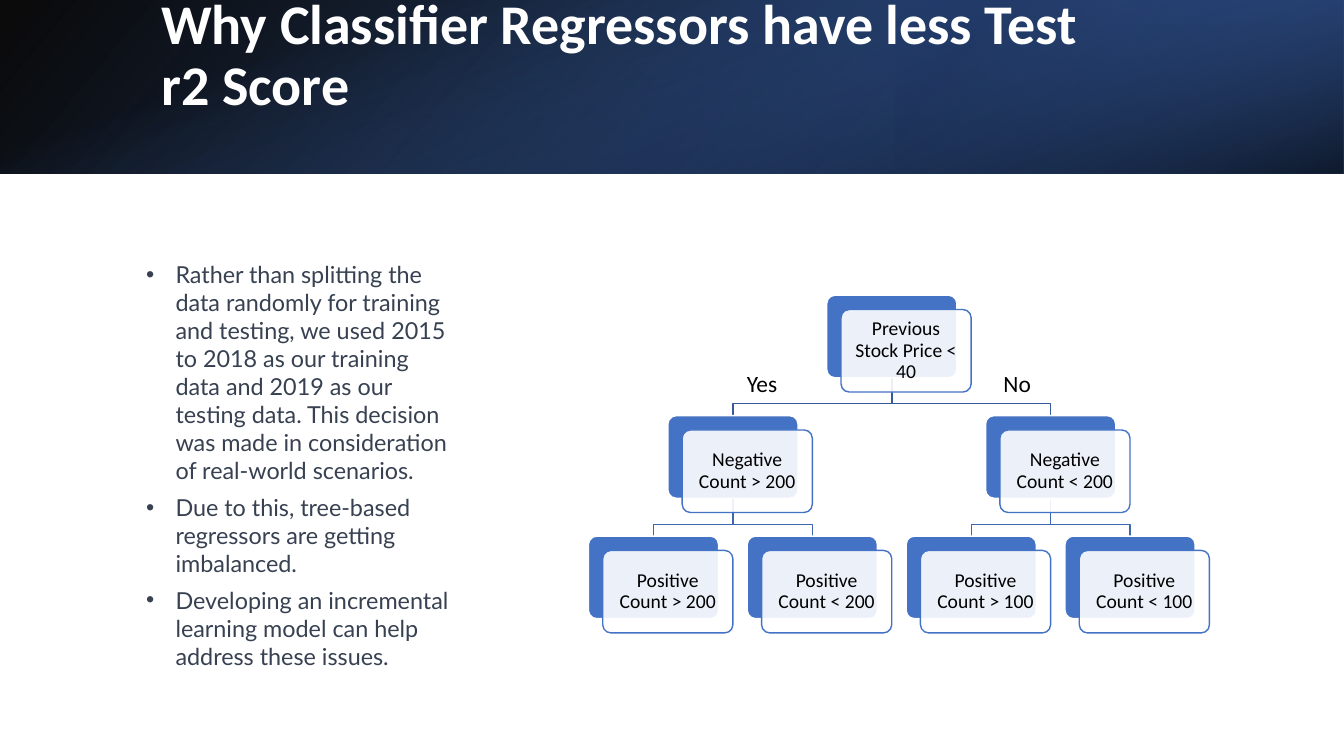
import pptx
import pptx.dml.color
import pptx.enum.shapes
import pptx.enum.text
import pptx.oxml
import pptx.oxml.ns
import pptx.util

Cm = pptx.util.Cm
Pt = pptx.util.Pt
SHAPE = pptx.enum.shapes.MSO_SHAPE
ALIGN = pptx.enum.text.PP_ALIGN
ANCHOR = pptx.enum.text.MSO_ANCHOR

BLUE, WHITE, BLACK, SLATE = "4472C4", "FFFFFF", "000000", "374151"

TITLE = "Why Classifier Regressors have less Test r2 Score"
POINTS = [
    "Rather than splitting the data randomly for training and testing, we used 2015 "
    "to 2018 as our training data and 2019 as our testing data. This decision was made "
    "in consideration of real-world scenarios.",
    "Due to this, tree-based regressors are getting imbalanced.",
    "Developing an incremental learning model can help address these issues.",
]
TREE = ("Previous Stock Price < 40", [
    ("Negative Count > 200", [("Positive Count > 200", []), ("Positive Count < 200", [])]),
    ("Negative Count < 200", [("Positive Count > 100", []), ("Positive Count < 100", [])]),
])


def rgb(value):
    """Turn a hex string into a colour."""
    return pptx.dml.color.RGBColor.from_string(value)


def apply(target, values):
    """Set each attribute in values on target."""
    for name, value in values.items():
        setattr(target, name, value)


def xml(tag, attrs="", inner=""):
    """Build one DrawingML element."""
    ns = pptx.oxml.ns.nsdecls("a")
    return pptx.oxml.parse_xml(f"<a:{tag} {ns} {attrs}>{inner}</a:{tag}>")


def place(sp, box):
    """Move a shape to a box given in centimetres."""
    apply(sp, dict(zip(("left", "top", "width", "height"), map(Cm, box))))


def write(tf, texts, font, color, para=None, frame=None):
    """Fill a text frame with one formatted paragraph per text."""
    apply(tf, {"word_wrap": True, "auto_size": pptx.enum.text.MSO_AUTO_SIZE.NONE,
               **(frame or {})})
    for i, text in enumerate(texts):
        p = tf.add_paragraph() if i else tf.paragraphs[0]
        apply(p, para or {})
        r = p.add_run()
        r.text = text
        apply(r.font, font)
        r.font.color.rgb = rgb(color)


def add_gradient(s, box, stops, angle, rotation=0, flip=False):
    """Add a rectangle with a translucent linear gradient behind the title."""
    sp = s.shapes.add_shape(SHAPE.RECTANGLE, *map(Cm, box))
    sp.shadow.inherit = False
    sp.line.fill.background()
    sp.rotation = rotation
    if flip:
        sp.element.spPr.find(pptx.oxml.ns.qn("a:xfrm")).set("flipH", "1")
    marks = "".join(
        f'<a:gs pos="{pos * 1000}"><a:srgbClr val="{color}">'
        f'<a:alpha val="{alpha * 1000}"/></a:srgbClr></a:gs>'
        for pos, color, alpha in stops)
    fill = xml("gradFill", 'rotWithShape="1"',
               f'<a:gsLst>{marks}</a:gsLst><a:lin ang="{angle * 60000}" scaled="0"/>')
    sp.element.spPr.find(pptx.oxml.ns.qn("a:prstGeom")).addnext(fill)
    s.shapes.title.element.addprevious(sp.element)


def add_header(s, box):
    """Draw the layered gradient band and its title."""
    x, y, w, h = box
    add_gradient(s, box, [(0, BLACK, 96), (100, "2F5597", 100)], 140, flip=True)
    add_gradient(s, (x + w * 2 / 3, y, w / 3, h),
                 [(19, "203864", 68), (100, BLUE, 79)], 320, 180, True)
    add_gradient(s, (x + (w - h) / 2, y + (h - w) / 2, h, w),
                 [(23, BLUE, 0), (99, BLACK, 74)], 340, 90)
    title = s.shapes.title
    place(title, (x + 3.81, y + 0.97, 27.89, 2.44))
    write(title.text_frame, [TITLE], {"name": "Calibri", "size": Pt(40), "bold": True}, WHITE,
          {"alignment": ALIGN.LEFT, "line_spacing": 0.9},
          {"vertical_anchor": ANCHOR.MIDDLE, "margin_right": Cm(3.76),
           "margin_bottom": Cm(1.65)})


def add_points(s, box):
    """Fill the body placeholder with the bulleted points."""
    body = s.placeholders[1]
    place(body, box)
    write(body.text_frame, POINTS, {"name": "Lato", "size": Pt(16.7)}, SLATE,
          {"alignment": ALIGN.LEFT, "space_before": Pt(0), "space_after": Pt(6)},
          {"vertical_anchor": ANCHOR.TOP})
    for p in body.text_frame.paragraphs:
        pPr = p._p.get_or_add_pPr()
        apply_indent = {"marL": Cm(0.74), "indent": -Cm(0.74)}
        for name, value in apply_indent.items():
            pPr.set(name, str(int(value)))
        pPr.append(xml("buFont", 'typeface="Arial"'))
        pPr.append(xml("buChar", 'char="•"'))


def add_branch(s, start, end, color):
    """Draw a stepped line from a parent's base to a child's top."""
    (x1, y1), (x2, y2) = start, end
    bend = y2 - 0.3
    points = [(Cm(x), Cm(y)) for x, y in ((x1, bend), (x2, bend), (x2, y2))]
    builder = s.shapes.build_freeform(Cm(x1), Cm(y1))
    builder.add_line_segments(points, close=False)
    sp = builder.convert_to_shape()
    sp.shadow.inherit = False
    sp.fill.background()
    sp.line.color.rgb = rgb(color)
    sp.line.width = Pt(1)


def add_card(s, box, text):
    """Draw a blue card with a translucent labelled card over it."""
    x, y, w, h = box
    for shift, fill, line in ((0, BLUE, WHITE), (0.36, WHITE, BLUE)):
        sp = s.shapes.add_shape(SHAPE.ROUNDED_RECTANGLE,
                                *map(Cm, (x + shift, y + shift, w, h)))
        sp.adjustments[0] = 0.1
        sp.shadow.inherit = False
        sp.fill.solid()
        sp.fill.fore_color.rgb = rgb(fill)
        sp.line.color.rgb = rgb(line)
        sp.line.width = Pt(1)
    color = sp.element.spPr.find(pptx.oxml.ns.qn("a:solidFill"))[0]
    color.append(xml("alpha", 'val="90000"'))
    inset = Cm(0.21)
    write(sp.text_frame, [text], {"name": "Calibri", "size": Pt(14)}, BLACK,
          {"alignment": ALIGN.CENTER, "line_spacing": 0.9},
          {"vertical_anchor": ANCHOR.MIDDLE, "margin_left": inset, "margin_right": inset,
           "margin_top": inset, "margin_bottom": inset})


def add_tree(s, box):
    """Draw the decision tree with its branches and answers."""
    x, y, w, h = box
    card_w, card_h, leaves = 3.28, 2.08, 4
    step_x = (w - card_w - 0.36) / (leaves - 1)
    step_y = (h - card_h - 0.36) / 2
    cards, branches = [], []

    def lay_out(node, first, span, depth):
        """Collect the cards and branches below one node."""
        text, children = node
        left = x + (first + (span - 1) / 2) * step_x
        top = y + depth * step_y
        cards.append(((left, top, card_w, card_h), text))
        for i, child in enumerate(children):
            part = span / len(children)
            child_left = lay_out(child, first + i * part, part, depth + 1)
            branches.append(((left + card_w / 2, top + card_h),
                             (child_left + card_w / 2, top + step_y),
                             "3E67B2" if depth else "365B9D"))
        return left

    lay_out(TREE, 0, leaves, 0)
    for branch in branches:
        add_branch(s, *branch)
    for card in cards:
        add_card(s, *card)
    for text, dx, width, inset in (("Yes", 2.95, 2.92, 1.04), ("No", 10.21, 2, 0.25)):
        sp = s.shapes.add_textbox(*map(Cm, (x + dx, y + 1.73, width, 0.97)))
        write(sp.text_frame, [text], {"name": "Calibri", "size": Pt(16.7)}, BLACK,
              {"space_after": Pt(6)}, {"margin_left": Cm(inset)})


def main():
    """Build and save the slide."""
    prs = pptx.Presentation()
    prs.slide_width, prs.slide_height = Cm(33.87), Cm(19.05)
    s = prs.slides.add_slide(prs.slide_layouts[1])
    add_header(s, (0, 0, 33.87, 4.37))
    add_tree(s, (14.83, 7.44, 15.65, 8.51))
    add_points(s, (3.43, 6.43, 8.28, 10.69))
    prs.save("out.pptx")


if __name__ == "__main__":
    main()
